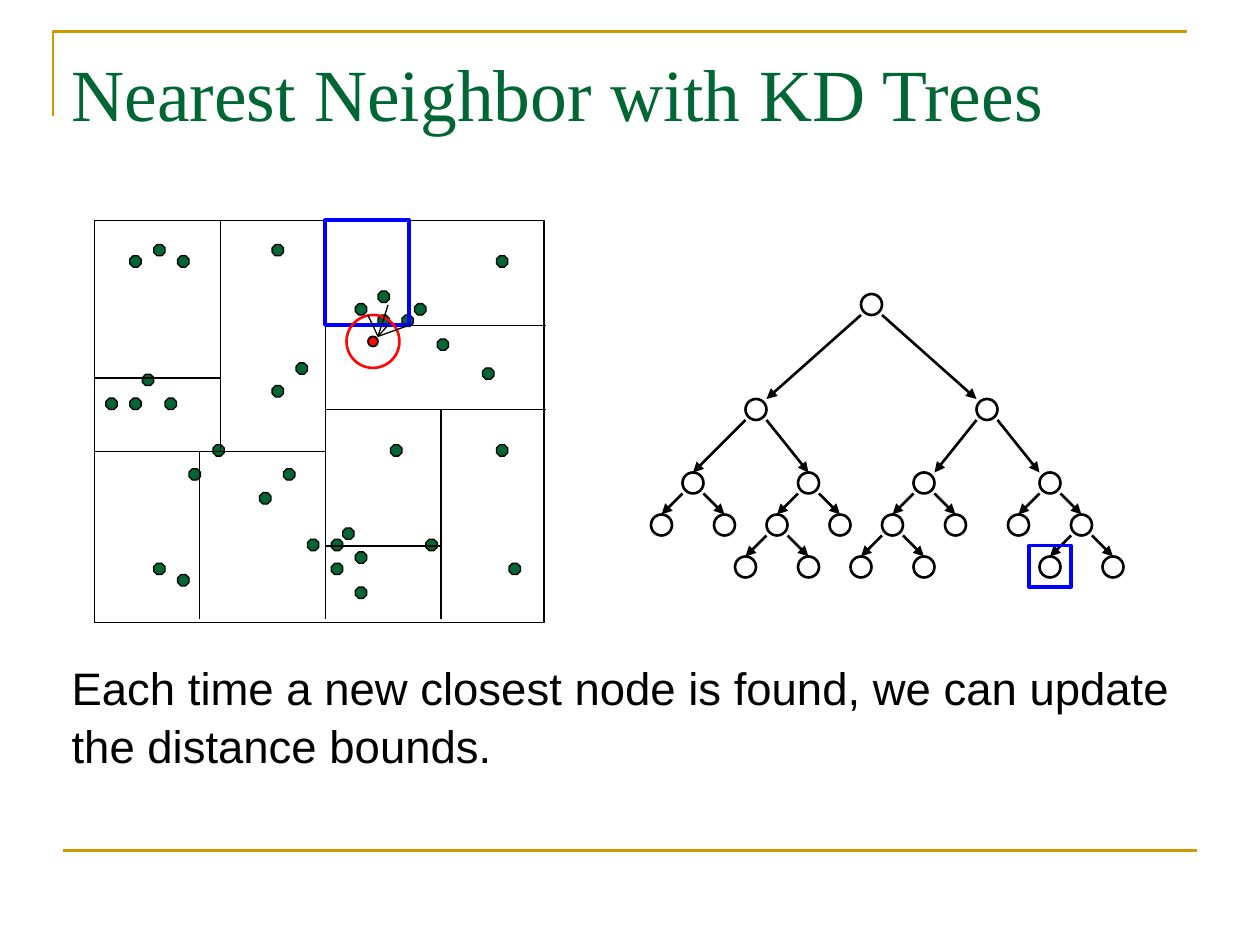
"""Build the slide on nearest neighbour search with KD trees."""
from lxml.etree import SubElement
from pptx import Presentation
from pptx.dml.color import RGBColor
from pptx.enum.shapes import MSO_CONNECTOR as CONNECTOR, MSO_SHAPE as SHAPE
from pptx.oxml.ns import qn
from pptx.util import Inches, Pt

BLACK, GREEN, GOLD, BLUE, RED = "000000", "006633", "CC9900", "0000FF", "FF0600"
UNIT = 1 / 12

presentation = Presentation()
presentation.slide_width, presentation.slide_height = Inches(10), Inches(7.5)
slide = presentation.slides.add_slide(presentation.slide_layouts[6])


def add_outline(kind, left, top, width, height, line, weight, fill=None):
    shape = slide.shapes.add_shape(kind, *map(Inches, (left, top, width, height)))
    shape.shadow.inherit = False
    if fill:
        shape.fill.solid()
        shape.fill.fore_color.rgb = RGBColor.from_string(fill)
    else:
        shape.fill.background()
    shape.line.color.rgb = RGBColor.from_string(line)
    shape.line.width = Pt(weight)
    return shape


def add_line(x1, y1, x2, y2, color, weight, arrow=False):
    line = slide.shapes.add_connector(
        CONNECTOR.STRAIGHT, *map(Inches, (x1, y1, x2, y2)))
    line.line.color.rgb = RGBColor.from_string(color)
    line.line.width = Pt(weight)
    if arrow:
        SubElement(line.line._get_or_add_ln(), qn("a:tailEnd"), type="triangle")
    SubElement(line._element.spPr, qn("a:effectLst"))


builder = slide.shapes.build_freeform(Inches(0.42), Inches(0.92))
builder.add_line_segments(
    [(Inches(0.42), Inches(0.25)), (Inches(9.42), Inches(0.25))], close=False)
corner = builder.convert_to_shape()
corner.shadow.inherit = False
corner.fill.background()
corner.line.color.rgb = RGBColor.from_string(GOLD)
corner.line.width = Pt(1.5)
add_line(0.5, 6.75, 9.5, 6.75, GOLD, 1.5)

data_points = [
    (1.13, 2.97), (1.31, 3.16), (1.03, 3.16), (2.82, 2.41), (0.84, 3.16),
    (2.72, 4.19), (2.63, 4.28), (3.47, 2.69), (3, 2.5), (2.44, 4.28),
    (2.63, 4.47), (2.82, 4.66), (2.82, 4.38), (3.94, 3.53), (2.16, 3.06),
    (2.25, 3.72), (3.1, 3.53), (1.41, 4.56), (1.5, 3.72), (3, 2.31),
    (3.19, 2.5), (3.29, 2.41), (3.38, 4.28), (1.22, 4.47), (1.69, 3.53),
    (2.35, 2.88), (2.06, 3.91), (1.41, 2.03), (1.22, 1.94), (1.03, 2.03),
    (2.16, 1.94), (3.94, 2.03), (4.04, 4.47), (3.83, 2.92),
]
for left, top in data_points:
    add_outline(SHAPE.OCTAGON, left, top, 0.09, 0.09, BLACK, 0.75, GREEN)

add_outline(SHAPE.RECTANGLE, 0.75, 1.75, 3.57, 3.19, BLACK, 1)
splits = [
    (31, 21, 31, 59), (31, 39, 52, 39), (42, 39, 42, 59), (31, 52, 42, 52),
    (9, 43, 31, 43), (21, 43, 21, 21), (31, 31, 52, 31), (39, 21, 39, 31),
    (19, 43, 19, 59), (9, 36, 21, 36),
]
for split in splits:
    add_line(*(value * UNIT for value in split), BLACK, 1)

tree_levels = {
    29: [83],
    39: [72, 94],
    46: [66, 77, 88, 100],
    50: [63, 69, 74, 80, 85, 91, 97, 103],
    54: [71, 77, 82, 88, 100, 106],
}
for y, centers in tree_levels.items():
    for x in centers:
        add_outline(SHAPE.OVAL, (x - 1) * UNIT, (y - 1) * UNIT,
                    2 * UNIT, 2 * UNIT, BLACK, 1.5)

# parent x, parent y, child y, x of the left and right arrow tips
branches = [
    (83, 29, 39, 73, 93),
    (72, 39, 46, 66, 77), (94, 39, 46, 89, 99),
    (66, 46, 50, 63, 69), (77, 46, 50, 74, 80),
    (88, 46, 50, 85, 91), (100, 46, 50, 97, 103),
    (74, 50, 54, 71, 77), (85, 50, 54, 82, 88), (103, 50, 54, 100, 106),
]
for x, y, child_y, *tips in branches:
    for side, tip in zip((-1, 1), tips):
        add_line((x + side) * UNIT, (y + 1) * UNIT,
                 tip * UNIT, (child_y - 1) * UNIT, BLACK, 1.5, arrow=True)

add_outline(SHAPE.OVAL, 2.92, 2.67, 0.08, 0.08, BLACK, 1, RED)
add_outline(SHAPE.RECTANGLE, 2.58, 1.75, 0.67, 0.83, BLUE, 2.25)
add_outline(SHAPE.RECTANGLE, 8.17, 4.33, 0.33, 0.33, BLUE, 2.25)
add_outline(SHAPE.OVAL, 2.75, 2.5, 0.42, 0.42, RED, 1.5)
for x, y in [(2.92, 2.5), (3.08, 2.58), (3.08, 2.42), (3.25, 2.58)]:
    add_line(3, 2.67, x, y, BLACK, 0.75)

texts = [
    ("Each time a new closest node is found, we can update the distance bounds.",
     5.17, 0.97, BLACK, 1.05, {"name": "Arial", "size": Pt(26)}),
    ("Nearest Neighbor with KD Trees",
     0.33, 1.18, GREEN, 1, {"name": "Times New Roman", "size": Pt(42)}),
]
for text, top, height, color, spacing, font_format in texts:
    box = slide.shapes.add_textbox(
        Inches(0.47), Inches(top), Inches(9.28), Inches(height))
    box.text_frame.word_wrap = True
    paragraph = box.text_frame.paragraphs[0]
    paragraph.line_spacing = spacing
    run = paragraph.add_run()
    run.text = text
    run.font.color.rgb = RGBColor.from_string(color)
    for attribute, value in font_format.items():
        setattr(run.font, attribute, value)

presentation.save("out.pptx")
